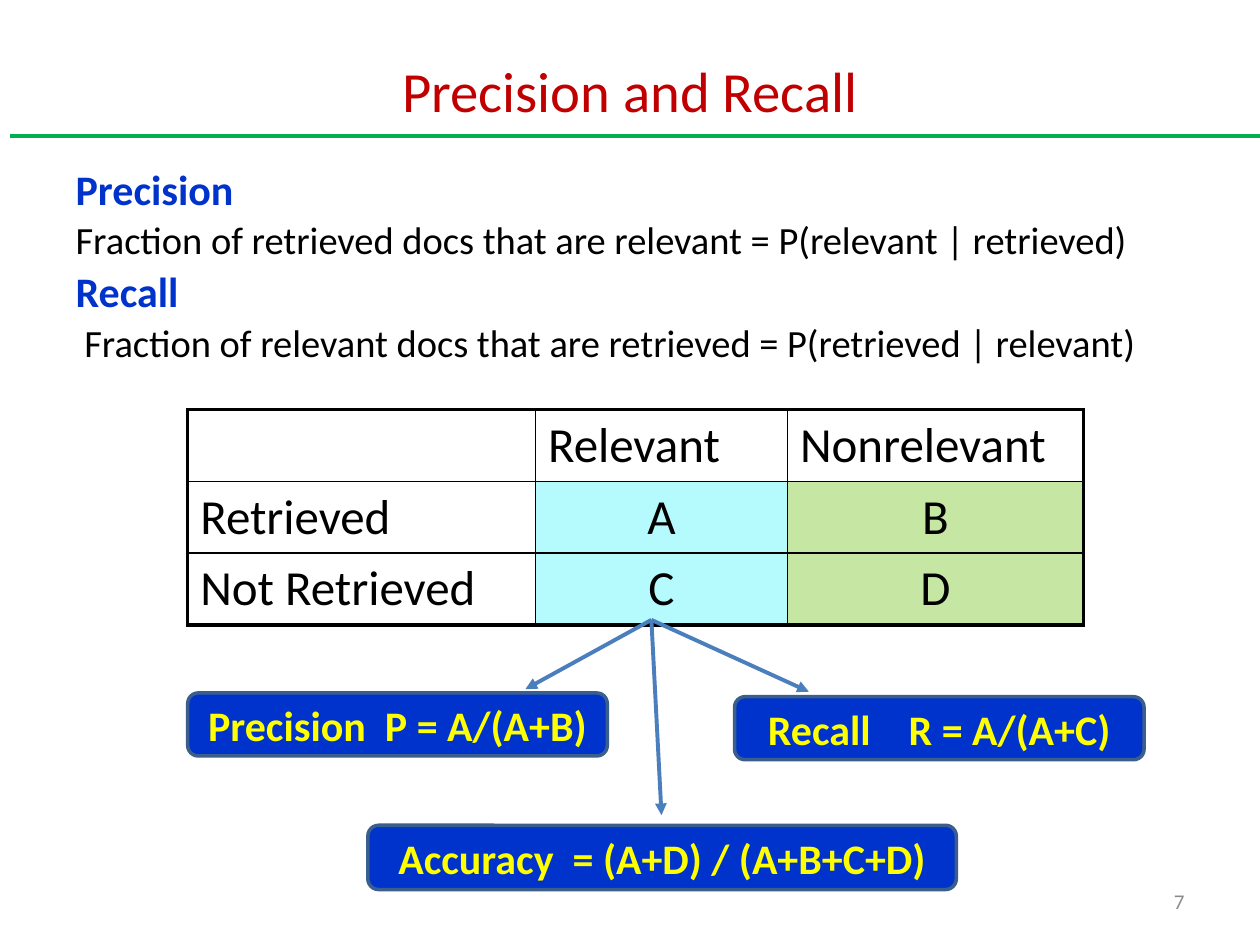
from lxml.etree import SubElement
from pptx import Presentation
from pptx.dml.color import RGBColor
from pptx.enum.shapes import MSO_CONNECTOR as Connector, MSO_SHAPE as Shape
from pptx.enum.text import MSO_ANCHOR as Anchor, MSO_AUTO_SIZE as AutoSize, PP_ALIGN as Align
from pptx.oxml.ns import qn
from pptx.util import Inches, Pt

FONT = "Calibri"
BLACK = RGBColor(0x00, 0x00, 0x00)
RED = RGBColor(0xC0, 0x00, 0x00)
BLUE = RGBColor(0x00, 0x33, 0xCC)
YELLOW = RGBColor(0xFF, 0xFF, 0x00)
GRAY = RGBColor(0x8C, 0x8C, 0x8C)
GREEN = RGBColor(0x00, 0xB0, 0x50)
NAVY = RGBColor(0x3A, 0x5F, 0x8C)
STEEL = RGBColor(0x4B, 0x7E, 0xBC)
CYAN = RGBColor(0x1A, 0xF1, 0xF6)
LIME = RGBColor(0x92, 0xD0, 0x50)

DEFINITIONS = [
    ("Precision", 24, BLUE, True, 0.8),
    ("Fraction of retrieved docs that are relevant = P(relevant | retrieved)", 22, BLACK, False, 0.8),
    ("Recall", 24, BLUE, True, 2),
    (" Fraction of relevant docs that are retrieved = P(retrieved | relevant)", 22, BLACK, False, 2),
]
MATRIX = [
    ["", "Relevant", "Nonrelevant"],
    ["Retrieved", "A", "B"],
    ["Not Retrieved", "C", "D"],
]
COLUMN_WIDTHS = [2.76, 2, 2.35]
COLUMN_FILLS = [None, (CYAN, 32), (LIME, 52)]
FORMULAS = [
    ("Precision  P = A/(A+B)", 1.49, 5.5, 3.33, 0.5),
    ("Recall    R = A/(A+C)", 5.83, 5.53, 3.25, 0.5),
    ("Accuracy  = (A+D) / (A+B+C+D)", 2.92, 6.55, 4.67, 0.51),
]
ARROW_START = (5.17, 4.92)
ARROW_ENDS = [(4.17, 5.47), (5.25, 6.47), (6.42, 5.49)]


def place(shape, left, top, width, height):
    """Move and size a shape, in inches."""
    shape.left, shape.top = Inches(left), Inches(top)
    shape.width, shape.height = Inches(width), Inches(height)


def add_span(para, text, size, color, bold=False):
    """Add one formatted run to a paragraph."""
    span = para.add_run()
    span.text = text
    span.font.name, span.font.size, span.font.bold = FONT, Pt(size), bold
    span.font.color.rgb = color


def fill_title(page):
    """Write the title in its placeholder."""
    title = page.shapes.title
    place(title, 2.75, 0.36, 4.5, 0.7)
    title.text_frame.auto_size = AutoSize.NONE
    title.text_frame.vertical_anchor = Anchor.MIDDLE
    para = title.text_frame.paragraphs[0]
    para.alignment = Align.CENTER
    add_span(para, "Precision and Recall", 32.4, RED)


def fill_body(page):
    """Write the definitions in the body placeholder without bullets."""
    body = page.placeholders[1]
    place(body, 0.5, 1.25, 9, 5.89)
    frame = body.text_frame
    frame.auto_size = AutoSize.NONE
    for index, (text, size, color, bold, space) in enumerate(DEFINITIONS):
        para = frame.add_paragraph() if index else frame.paragraphs[0]
        para.space_before = Pt(space)
        properties = para._p.get_or_add_pPr()
        properties.set("marL", "0")
        properties.set("indent", "0")
        SubElement(properties, qn("a:buNone"))
        add_span(para, text, size, color, bold)


def add_page_number(page):
    """Add the page number at the lower right."""
    box = page.shapes.add_textbox(Inches(7.17), Inches(6.95), Inches(2.33), Inches(0.4))
    box.text_frame.word_wrap = True
    box.text_frame.vertical_anchor = Anchor.MIDDLE
    para = box.text_frame.paragraphs[0]
    para.alignment = Align.RIGHT
    add_span(para, "7", 12, GRAY)


def set_border(cell, side, points):
    """Draw one black border of a table cell."""
    line = SubElement(cell._tc.get_or_add_tcPr(), qn(f"a:ln{side}"), w=str(Pt(points)))
    fill = SubElement(line, qn("a:solidFill"))
    SubElement(fill, qn("a:srgbClr"), val=str(BLACK))


def fill_cell(cell, tint):
    """Fill a cell with a colour and opacity percentage, or leave it clear."""
    if tint is None:
        cell.fill.background()
        return
    color, opacity = tint
    cell.fill.solid()
    cell.fill.fore_color.rgb = color
    swatch = cell._tc.tcPr.find(f"{qn('a:solidFill')}/{qn('a:srgbClr')}")
    SubElement(swatch, qn("a:alpha"), val=str(opacity * 1000))


def add_matrix(page):
    """Add the retrieval table with thick outer borders."""
    last = len(MATRIX) - 1
    frame = page.shapes.add_table(3, 3, Inches(1.49), Inches(3.25), Inches(7.11), Inches(1.71))
    table = frame.table
    table.first_row = table.horz_banding = False
    for column, width in zip(table.columns, COLUMN_WIDTHS):
        column.width = Inches(width)
    for r, texts in enumerate(MATRIX):
        table.rows[r].height = Inches(0.57)
        for c, text in enumerate(texts):
            cell = table.cell(r, c)
            outer = {"L": c == 0, "R": c == last, "T": r == 0, "B": r == last}
            for side, thick in outer.items():
                set_border(cell, side, 2.25 if thick else 1)
            inner = r > 0 and c > 0
            fill_cell(cell, COLUMN_FILLS[c] if inner else None)
            para = cell.text_frame.paragraphs[0]
            para.alignment = Align.CENTER if inner else Align.LEFT
            if text:
                add_span(para, text, 28, BLACK)


def add_line(page, start, end, color, width, arrow=False):
    """Add a straight line, with an arrowhead at its end if asked."""
    line = page.shapes.add_connector(Connector.STRAIGHT, *map(Inches, start + end))
    line.line.color.rgb = color
    line.line.width = Pt(width)
    if arrow:
        SubElement(line.line._get_or_add_ln(), qn("a:tailEnd"), type="triangle")
    SubElement(line._element.spPr, qn("a:effectLst"))


def add_formula(page, text, *bounds):
    """Add a rounded box holding a formula."""
    box = page.shapes.add_shape(Shape.ROUNDED_RECTANGLE, *map(Inches, bounds))
    box.shadow.inherit = False
    box.fill.solid()
    box.fill.fore_color.rgb = BLUE
    box.line.color.rgb = NAVY
    box.line.width = Pt(2)
    box.text_frame.word_wrap = True
    box.text_frame.vertical_anchor = Anchor.MIDDLE
    para = box.text_frame.paragraphs[0]
    para.alignment = Align.CENTER
    add_span(para, text, 24, YELLOW, True)


def main():
    """Build the slide and save it."""
    deck = Presentation()
    deck.slide_width, deck.slide_height = Inches(10), Inches(7.5)
    page = deck.slides.add_slide(deck.slide_layouts[1])
    add_page_number(page)
    fill_title(page)
    fill_body(page)
    add_matrix(page)
    add_line(page, (0.08, 1.08), (10, 1.08), GREEN, 2.5)
    for formula in FORMULAS:
        add_formula(page, *formula)
    for end in ARROW_ENDS:
        add_line(page, ARROW_START, end, STEEL, 2.25, arrow=True)
    deck.save("out.pptx")


if __name__ == "__main__":
    main()
